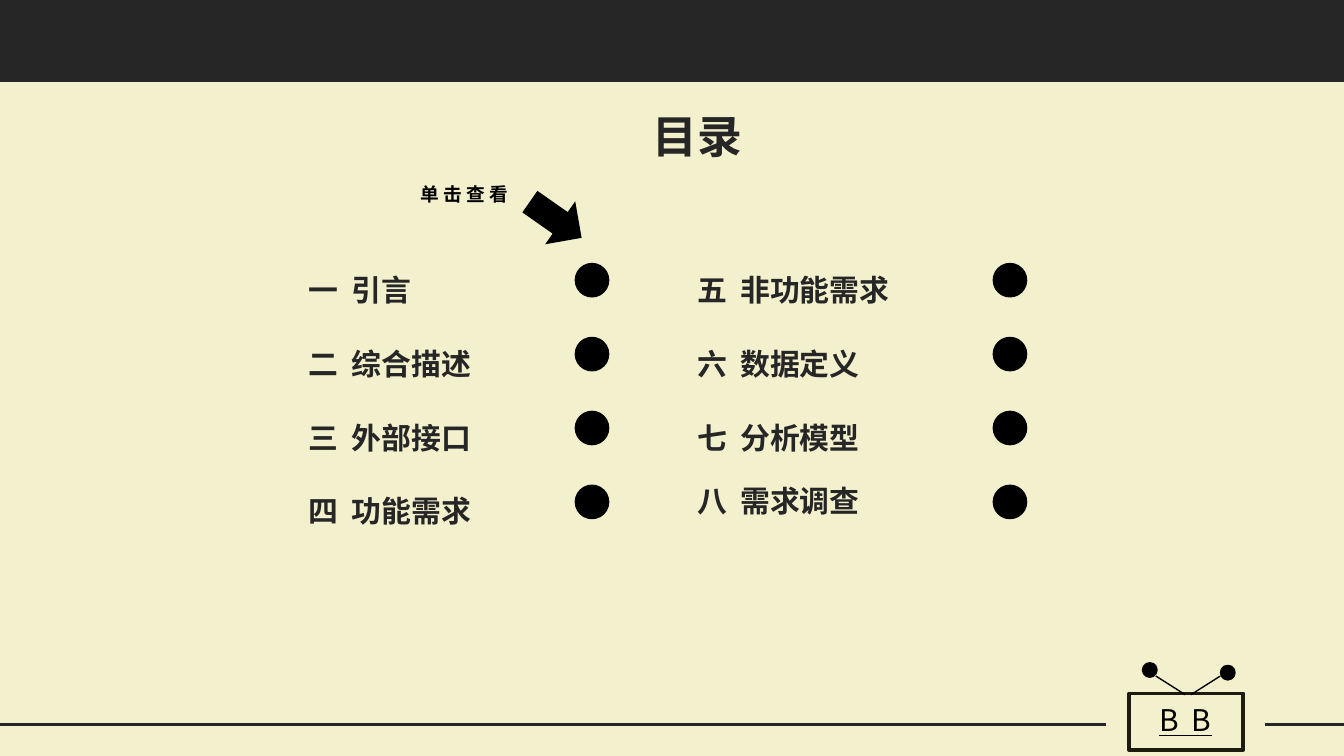
from typing import NamedTuple

from lxml import etree
from pptx import Presentation
from pptx.dml.color import RGBColor
from pptx.enum.shapes import MSO_CONNECTOR, MSO_SHAPE
from pptx.enum.text import MSO_AUTO_SIZE, PP_ALIGN
from pptx.oxml.ns import qn
from pptx.util import Inches, Pt

RECT, OVAL, ARROW = MSO_SHAPE.RECTANGLE, MSO_SHAPE.OVAL, MSO_SHAPE.LEFT_ARROW
STRAIGHT = MSO_CONNECTOR.STRAIGHT
LEFT, CENTER = PP_ALIGN.LEFT, PP_ALIGN.CENTER
FIT_SHAPE = MSO_AUTO_SIZE.SHAPE_TO_FIT_TEXT

CREAM, DARK, BLACK, BROWN = "F3F0CD", "262626", "000000", "1E1C11"
SC, JP = "Noto Sans CJK SC", "Noto Sans CJK JP"
ROW_TOP, ROW_STEP = 1.97, 0.55


class Entry(NamedTuple):
    number: str
    title: str
    font: str = SC
    shift: float = 0


class Column(NamedTuple):
    text_x: float
    dot_x: float
    entries: list[Entry]


class Line(NamedTuple):
    x1: float
    y1: float
    x2: float
    y2: float
    color: str
    width: float


COLUMNS = [
    Column(2.2, 4.29, [Entry("一", "引言"), Entry("二", "综合描述", JP),
                       Entry("三", "外部接口"), Entry("四", "功能需求")]),
    Column(5.09, 7.4, [Entry("五", "非功能需求"), Entry("六", "数据定义"),
                       Entry("七", "分析模型"), Entry("八", "需求调查", shift=-0.08)]),
]
FOOTER_LINES = [Line(0, 5.39, 8.23, 5.39, DARK, 1.75),
                Line(9.41, 5.39, 10, 5.39, DARK, 1.75)]
ANTENNAS = [Line(8.6, 5.03, 8.82, 5.17, BLACK, 0.75),
            Line(9.08, 5.03, 8.86, 5.17, BLACK, 0.75)]


def rgb(color: str) -> RGBColor:
    return RGBColor.from_string(color)


def set_font(font, name: str) -> None:
    """Use one typeface for Latin and East Asian text."""
    font.name = name
    latin = font._element.find(qn("a:latin"))
    ea = etree.Element(qn("a:ea"), typeface=name)
    latin.addnext(ea)


def add_shape(s, kind, x: float, y: float, w: float, h: float,
              fill: str | None = None, line: str | None = None):
    sp = s.shapes.add_shape(kind, Inches(x), Inches(y), Inches(w), Inches(h))
    sp.shadow.inherit = False
    if fill:
        sp.fill.solid()
        sp.fill.fore_color.rgb = rgb(fill)
    else:
        sp.fill.background()
    if line:
        sp.line.color.rgb = rgb(line)
        sp.line.width = Pt(2)
    else:
        sp.line.fill.background()
    return sp


def add_line(s, line: Line) -> None:
    sp = s.shapes.add_connector(STRAIGHT, Inches(line.x1), Inches(line.y1),
                                Inches(line.x2), Inches(line.y2))
    sp.line.color.rgb = rgb(line.color)
    sp.line.width = Pt(line.width)
    etree.SubElement(sp._element.spPr, qn("a:effectLst"))


def add_text(s, x: float, y: float, w: float, h: float, parts: list[str],
             size: float, color: str, font: str = SC, bold: bool = True,
             align=LEFT, wrap: bool = True, tab: float = 0):
    sp = s.shapes.add_textbox(Inches(x), Inches(y), Inches(w), Inches(h))
    tf = sp.text_frame
    tf.word_wrap = wrap
    tf.auto_size = FIT_SHAPE
    p = tf.paragraphs[0]
    p.alignment = align
    if tab:
        tabs = etree.SubElement(p._p.get_or_add_pPr(), qn("a:tabLst"))
        etree.SubElement(tabs, qn("a:tab"), pos=str(Inches(tab)), algn="l")
    p.font.size = Pt(size)
    p.font.bold = bold
    p.font.color.rgb = rgb(color)
    set_font(p.font, font)
    for part in parts:
        p.add_run().text = part
    return p


def add_column(s, column: Column) -> None:
    for i, entry in enumerate(column.entries):
        y = ROW_TOP + i * ROW_STEP
        p = add_text(s, column.text_x, y + entry.shift, 2.17, 0.39,
                     [entry.number + "\t", entry.title], 16, DARK, tab=0.32)
        if entry.font != SC:
            set_font(p.runs[1].font, entry.font)
        add_shape(s, OVAL, column.dot_x, y, 0.23, 0.23, BLACK, BLACK)


def add_television(s) -> None:
    add_shape(s, RECT, 8.4, 5.16, 0.85, 0.42, line=BROWN)
    p = add_text(s, 8.5, 5.17, 0.64, 0.37, ["B  B"], 16, BLACK,
                 bold=False, align=CENTER, wrap=False)
    p.font.underline = True
    for antenna in ANTENNAS:
        add_line(s, antenna)
    for x, y in [(8.51, 4.94), (9.09, 4.96)]:
        add_shape(s, OVAL, x, y, 0.09, 0.09, BLACK, BLACK)


def main() -> None:
    prs = Presentation()
    # Widescreen, 16:9
    prs.slide_width = Inches(10)
    prs.slide_height = prs.slide_width * 9 // 16
    s = prs.slides.add_slide(prs.slide_layouts[6])
    s.background.fill.solid()
    s.background.fill.fore_color.rgb = rgb(CREAM)

    # Header band and footer rule
    add_shape(s, RECT, 0, 0, 10, 0.61, DARK)
    for line in FOOTER_LINES:
        add_line(s, line)

    # Title
    add_text(s, 4.76, 0.76, 0.88, 0.5, ["目录"], 24, DARK, wrap=False)

    # Contents
    for column in COLUMNS:
        add_column(s, column)

    # Click hint
    arrow = add_shape(s, ARROW, 3.9, 1.44, 0.47, 0.39, BLACK)
    arrow.rotation = 215
    add_text(s, 2.82, 1.31, 1.27, 0.28, ["单 击 查 看"], 10, BLACK, JP, align=CENTER)

    # Television in the corner
    add_television(s)
    prs.save("out.pptx")


if __name__ == "__main__":
    main()
